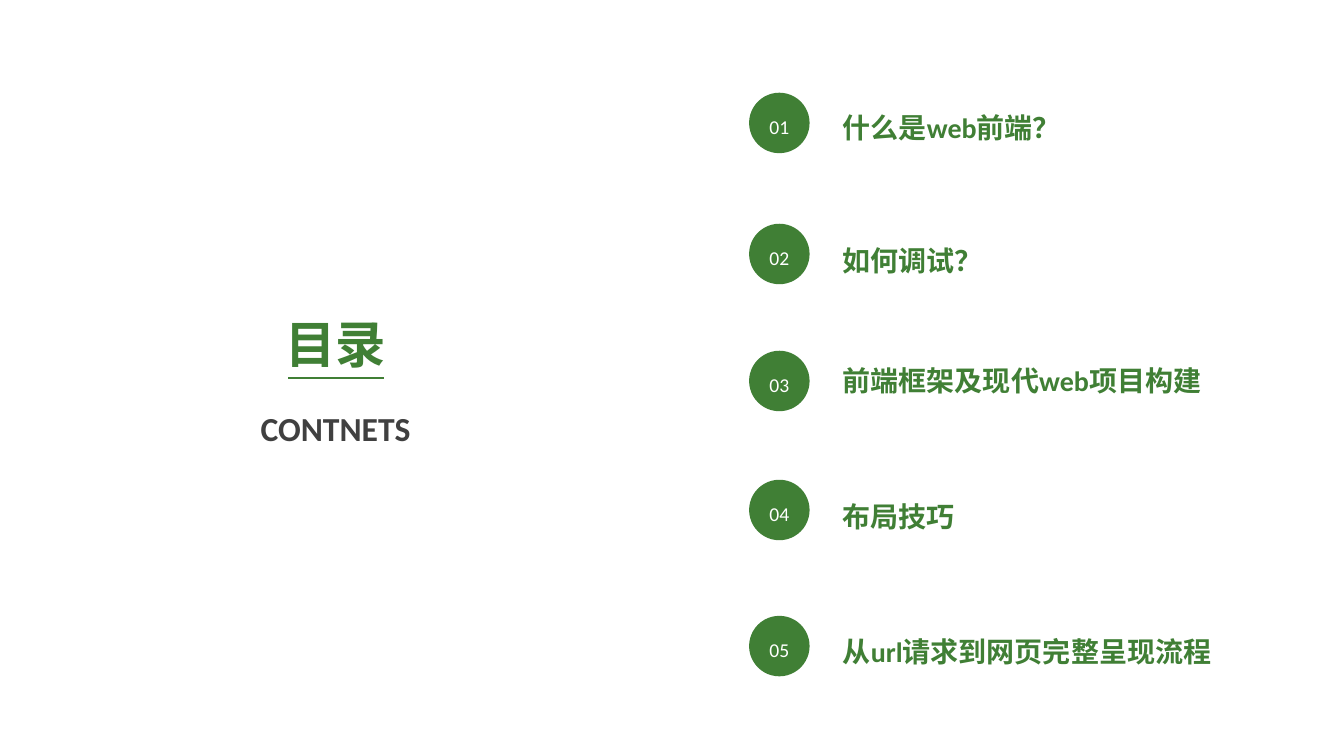
"""Build a contents slide with five numbered topics."""
from lxml import etree
from pptx import Presentation
from pptx.dml.color import RGBColor
from pptx.enum.shapes import MSO_CONNECTOR, MSO_SHAPE
from pptx.enum.text import MSO_ANCHOR, PP_ALIGN
from pptx.oxml.ns import qn
from pptx.util import Inches, Pt

TOPICS = [
    ("什么是web前端？", 0.92, 0.95, 2.38),
    ("如何调试？", 2.22, 2.27, 1.6),
    ("前端框架及现代web项目构建", 3.48, 3.46, 3.79),
    ("布局技巧", 4.76, 4.81, 1.32),
    ("从url请求到网页完整呈现流程", 6.11, 6.15, 3.89),
]
GREEN = RGBColor(0x40, 0x7F, 0x35)
GRAY = RGBColor(0x40, 0x40, 0x40)
WHITE = RGBColor(0xFF, 0xFF, 0xFF)
LEFT, CENTER = PP_ALIGN.LEFT, PP_ALIGN.CENTER
MIDDLE = MSO_ANCHOR.MIDDLE
OVAL, STRAIGHT = MSO_SHAPE.OVAL, MSO_CONNECTOR.STRAIGHT

FORMATS = {
    "number": {"size": Pt(14), "bold": False},
    "topic": {"size": Pt(20), "bold": True},
    "title": {"size": Pt(36), "bold": True},
    "subtitle": {"size": Pt(24), "bold": True},
}
SLIDE_WIDTH, SLIDE_HEIGHT = 13.33, 7.5
TITLE_CENTER = SLIDE_WIDTH / 4
BADGE_LEFT, BADGE_SIZE = 7.43, 0.6
TOPIC_LEFT, TOPIC_HEIGHT = 8.26, 0.54
RULE_WIDTH, RULE_PARTS = 0.95, 4
RULE_TOP = SLIDE_HEIGHT / 2


def write(shape, text, style, color, alignment):
    paragraph = shape.text_frame.paragraphs[0]
    paragraph.alignment = alignment
    paragraph.line_spacing = 1.3
    run = paragraph.add_run()
    run.text = text
    run.font.name = "Calibri"
    run.font.color.rgb = color
    for name, value in FORMATS[style].items():
        setattr(run.font, name, value)


def add_label(slide, box, text, style, color, alignment, wrap=True):
    label = slide.shapes.add_textbox(*map(Inches, box))
    label.text_frame.word_wrap = wrap
    write(label, text, style, color, alignment)


def add_badge(slide, top, number):
    box = (BADGE_LEFT, top, BADGE_SIZE, BADGE_SIZE)
    badge = slide.shapes.add_shape(OVAL, *map(Inches, box))
    badge.shadow.inherit = False
    badge.fill.solid()
    badge.fill.fore_color.rgb = GREEN
    badge.line.fill.background()
    badge.text_frame.vertical_anchor = MIDDLE
    write(badge, f"{number:02d}", "number", WHITE, CENTER)


def add_rule(slide):
    step = RULE_WIDTH / RULE_PARTS
    start = TITLE_CENTER - RULE_WIDTH / 2
    for part in range(RULE_PARTS):
        left = start + part * step
        ends = (left, RULE_TOP, left + step, RULE_TOP)
        line = slide.shapes.add_connector(STRAIGHT, *map(Inches, ends))
        line.line.color.rgb = GREEN
        line.line.width = Pt(2)
        etree.SubElement(line._element.spPr, qn("a:effectLst"))


def main():
    presentation = Presentation()
    presentation.slide_width = Inches(SLIDE_WIDTH)
    presentation.slide_height = Inches(SLIDE_HEIGHT)
    slide = presentation.slides.add_slide(presentation.slide_layouts[6])
    slide.background.fill.solid()
    slide.background.fill.fore_color.rgb = WHITE

    for number, (topic, badge_top, topic_top, width) in enumerate(TOPICS, 1):
        add_badge(slide, badge_top, number)
        box = (TOPIC_LEFT, topic_top, width, TOPIC_HEIGHT)
        add_label(slide, box, topic, "topic", GREEN, LEFT)

    title_box = (TITLE_CENTER - 0.6, 2.88, 1.2, 0.89)
    add_label(slide, title_box, "目录", "title", GREEN, CENTER, wrap=False)
    subtitle_box = (TITLE_CENTER - 1.52, 3.88, 3.03, 0.63)
    add_label(slide, subtitle_box, "CONTNETS", "subtitle", GRAY, CENTER)
    add_rule(slide)
    presentation.save("out.pptx")


if __name__ == "__main__":
    main()
